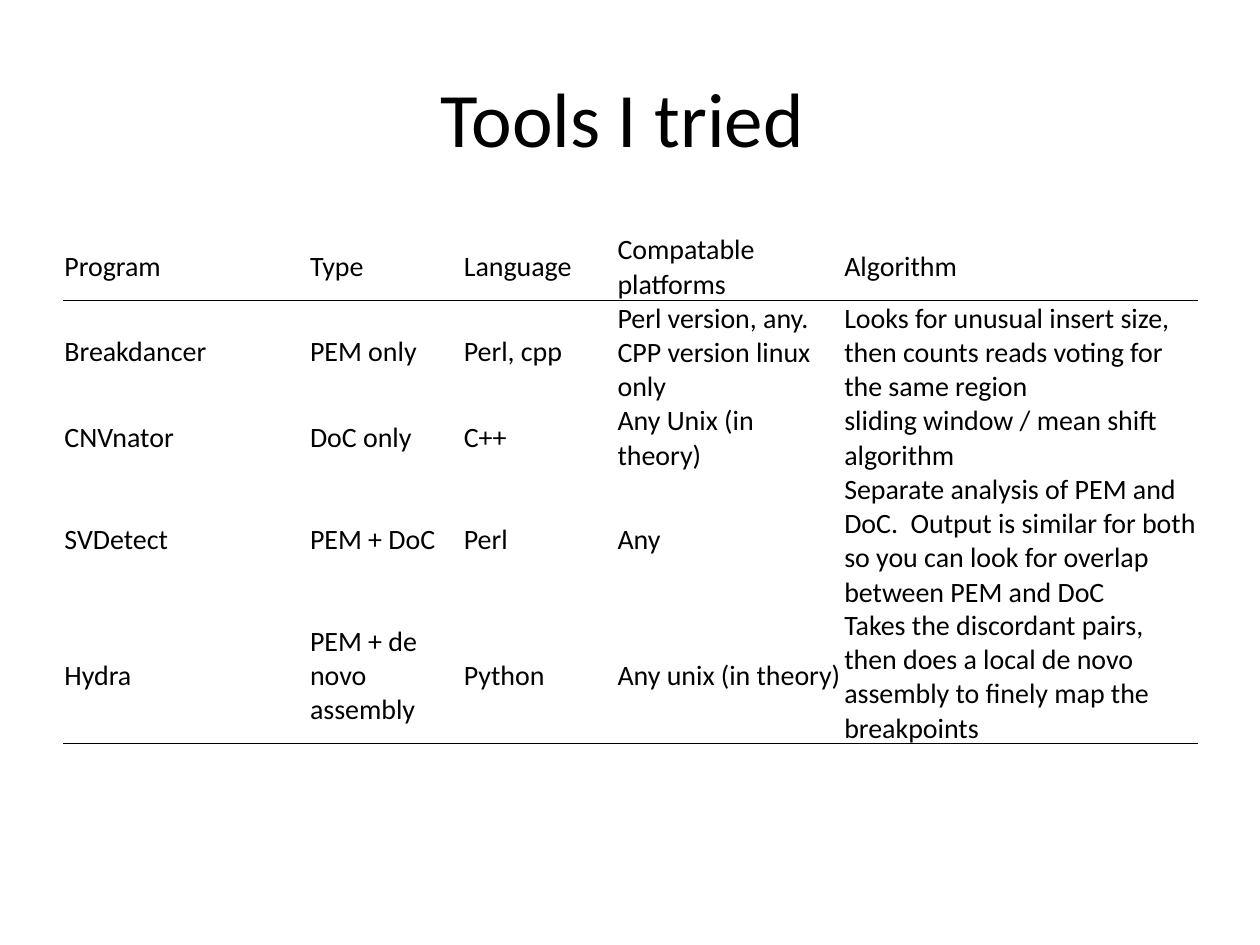
from lxml import etree
from pptx import Presentation
from pptx.dml.color import RGBColor
from pptx.enum.text import MSO_ANCHOR, PP_ALIGN
from pptx.oxml.ns import qn
from pptx.util import Cm, Pt

MIDDLE = MSO_ANCHOR.MIDDLE
LEFT, CENTER = PP_ALIGN.LEFT, PP_ALIGN.CENTER

COLORS = {"text": "000000", "rule": "000000"}
FONT = "Calibri"

COLUMN_WIDTHS = [4.95, 3.1, 3.1, 4.57, 7.16]
ROW_HEIGHTS = [1.14, 1.04, 0.71, 1.57, 1.57]  # minimums; rows grow with text
TOOLS = [
    ["Program", "Type", "Language", "Compatable platforms", "Algorithm"],
    ["Breakdancer", "PEM only", "Perl, cpp",
     "Perl version, any.  CPP version linux only",
     "Looks for unusual insert size, then counts reads voting for the same region"],
    ["CNVnator", "DoC only", "C++", "Any Unix (in theory)",
     "sliding window / mean shift algorithm"],
    ["SVDetect", "PEM + DoC", "Perl", "Any",
     "Separate analysis of PEM and DoC.  Output is similar for both "
     "so you can look for overlap between PEM and DoC"],
    ["Hydra", "PEM + de novo assembly", "Python", "Any unix (in theory)",
     "Takes the discordant pairs, then does a local de novo assembly "
     "to finely map the breakpoints"],
]


def write_text(frame, text, size, align=LEFT):
    frame.word_wrap = True
    paragraph = frame.paragraphs[0]
    paragraph.alignment = align
    run = paragraph.add_run()
    run.text = text
    run.font.name = FONT
    run.font.size = Pt(size)
    run.font.color.rgb = RGBColor.from_string(COLORS["text"])


def set_borders(cell, ruled_sides):
    """Rule the given sides (T, B) and clear the others."""
    properties = cell._tc.get_or_add_tcPr()
    for position, side in enumerate("LRTB"):
        line = etree.Element(qn(f"a:ln{side}"))
        if side in ruled_sides:
            line.set("w", str(Pt(0.5)))
            fill = etree.SubElement(line, qn("a:solidFill"))
            etree.SubElement(fill, qn("a:srgbClr"), val=COLORS["rule"])
        else:
            etree.SubElement(line, qn("a:noFill"))
        properties.insert(position, line)


def add_title(slide, text):
    title = slide.shapes.add_textbox(Cm(1.27), Cm(0.76), Cm(22.86), Cm(3.18))
    title.text_frame.vertical_anchor = MIDDLE
    write_text(title.text_frame, text, size=44, align=CENTER)


def add_tool_table(slide):
    frame = slide.shapes.add_table(len(TOOLS), len(COLUMN_WIDTHS),
                                   Cm(1.27), Cm(4.67), Cm(22.86), Cm(11.02))
    table = frame.table
    table.first_row = table.horz_banding = False
    for column, width in zip(table.columns, COLUMN_WIDTHS):
        column.width = Cm(width)
    for row, height in zip(table.rows, ROW_HEIGHTS):
        row.height = Cm(height)
    frame.width, frame.height = Cm(22.86), Cm(11.02)

    # Rules below the header and below the last row
    ruled_sides = {0: "B", 1: "T", len(TOOLS) - 1: "B"}
    for row_index, entries in enumerate(TOOLS):
        for column_index, entry in enumerate(entries):
            cell = table.cell(row_index, column_index)
            cell.fill.background()
            cell.vertical_anchor = MIDDLE
            cell.margin_left = cell.margin_right = cell.margin_top = Cm(0.03)
            cell.margin_bottom = 0
            write_text(cell.text_frame, entry, size=16)
            set_borders(cell, ruled_sides.get(row_index, ""))


def main():
    deck = Presentation()
    deck.slide_width, deck.slide_height = Cm(25.4), Cm(19.05)
    slide = deck.slides.add_slide(deck.slide_layouts[6])
    add_title(slide, "Tools I tried\t")
    add_tool_table(slide)
    deck.save("out.pptx")


if __name__ == "__main__":
    main()
